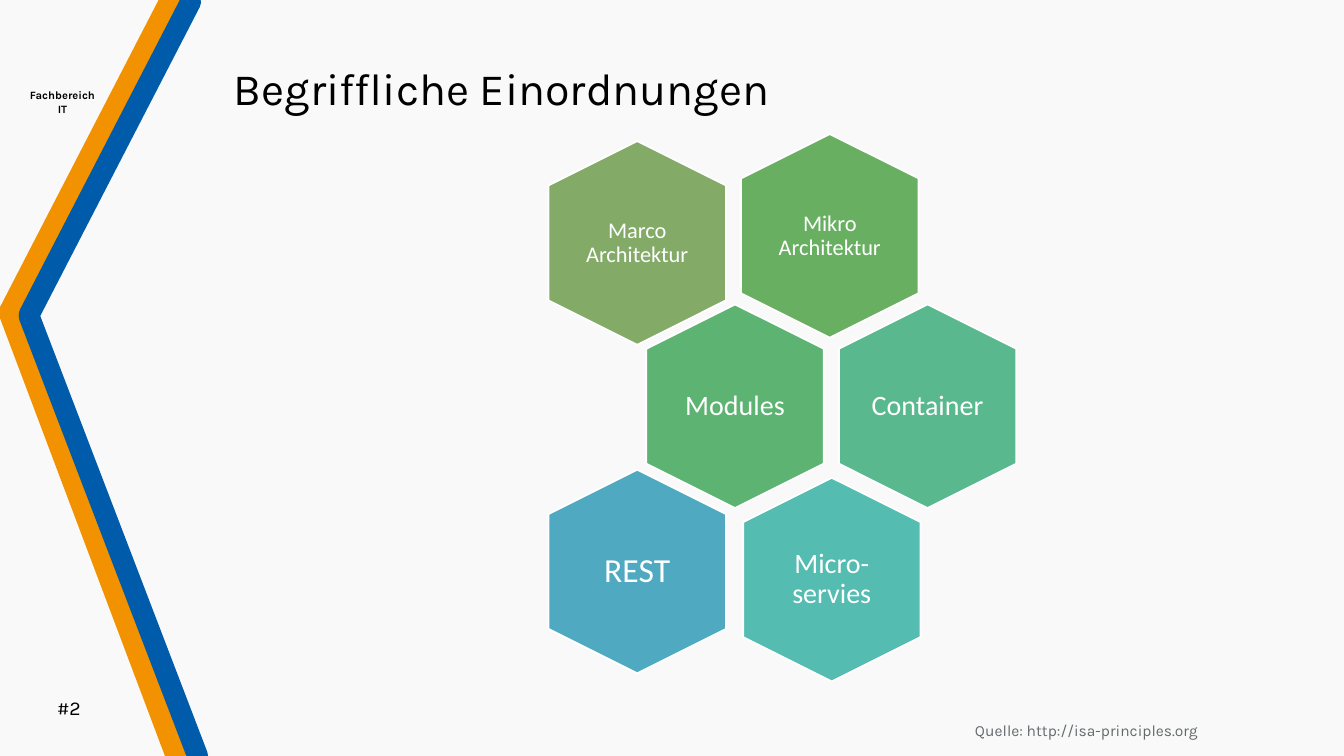
"""Build the slide on software architecture terms with a honeycomb of hexagons."""
import pptx
import pptx.dml.color
import pptx.enum.shapes
import pptx.enum.text
import pptx.oxml
import pptx.util
from pptx.util import Inches

ALIGN = pptx.enum.text.PP_ALIGN
ANCHOR = pptx.enum.text.MSO_ANCHOR

TITLE = "Begriffliche Einordnungen"
DEPARTMENT = ["Fachbereich", "IT"]
SOURCE = "Quelle: http://isa-principles.org"
PAGE = "#2"

CHEVRON = [
    ("F39200", (0.09, 3.1), (1.69, 0)),
    ("F39200", (0.09, 3.1), (1.74, 7.48)),
    ("005CAB", (0.29, 3.12), (1.89, 0.02)),
    ("005CAB", (0.29, 3.14), (1.96, 7.5)),
]

# label, font size, fill, centre x, centre y
HEXAGONS = [
    ("Marco Architektur", 16, "83AA67", 6.32, 2.41),
    ("Mikro Architektur", 16, "69AF62", 8.23, 2.34),
    ("Modules", 20, "5DB371", 7.29, 4.03),
    ("Container", 20, "59B88E", 9.2, 4.03),
    ("Micro-servies", 20, "54BCB0", 8.25, 5.75),
    ("REST", 24, "4FA9C1", 6.32, 5.67),
]
HEXAGON_SIZE = (2.02, 1.76)
LABEL_SIZE = (1.21, 1.39)


def color(value):
    return pptx.dml.color.RGBColor.from_string(value)


def centred(x, y, size):
    width, height = size
    return [Inches(v) for v in (x - width / 2, y - height / 2, width, height)]


def write(shape, lines, font, align=ALIGN.LEFT, ink="000000", spacing=1.0, **frame_format):
    frame = shape.text_frame
    settings = {
        "word_wrap": True,
        "auto_size": pptx.enum.text.MSO_AUTO_SIZE.NONE,
        "vertical_anchor": ANCHOR.TOP,
        **frame_format,
    }
    for name, value in settings.items():
        setattr(frame, name, value)
    frame.text = "\n".join(lines)
    for paragraph in frame.paragraphs:
        paragraph.alignment = align
        paragraph.line_spacing = spacing
        for name, value in font.items():
            setattr(paragraph.font, name, value)
        paragraph.font.color.rgb = color(ink)


def karla(size, bold=False):
    return {"name": "Karla", "size": pptx.util.Pt(size), "bold": bold}


def add_stripe(slide, ink, start, end):
    points = [Inches(v) for v in start + end]
    stripe = slide.shapes.add_connector(pptx.enum.shapes.MSO_CONNECTOR.STRAIGHT, *points)
    stripe.line.color.rgb = color(ink)
    stripe.line.width = pptx.util.Pt(15)
    stripe.line._get_or_add_ln().set("cap", "rnd")
    properties = stripe._element.spPr
    properties.append(pptx.oxml.parse_xml(
        '<a:effectLst xmlns:a="http://schemas.openxmlformats.org/drawingml/2006/main"/>'))


def add_hexagon(slide, label, size, fill, x, y):
    hexagon = slide.shapes.add_shape(
        pptx.enum.shapes.MSO_SHAPE.HEXAGON, *centred(x, y, HEXAGON_SIZE))
    hexagon.adjustments[0] = 0.25
    hexagon.rotation = 90
    hexagon.shadow.inherit = False
    hexagon.fill.solid()
    hexagon.fill.fore_color.rgb = color(fill)
    hexagon.line.color.rgb = color("FFFFFF")
    hexagon.line.width = pptx.util.Pt(1.25)
    box = slide.shapes.add_textbox(*centred(x, y, LABEL_SIZE))
    margins = {f"margin_{side}": 0 for side in ("left", "right", "top", "bottom")}
    write(box, [label], {"name": "Calibri", "size": pptx.util.Pt(size)}, ALIGN.CENTER,
          "FFFFFF", 0.9, vertical_anchor=ANCHOR.MIDDLE, **margins)


def add_text(slide, bounds, *args, **formats):
    box = slide.shapes.add_textbox(*[Inches(v) for v in bounds])
    write(box, *args, **formats)


def main():
    presentation = pptx.Presentation()
    presentation.slide_width = Inches(13.33)
    presentation.slide_height = Inches(7.5)
    slide = presentation.slides.add_slide(presentation.slide_layouts.get_by_name("Title Only"))
    slide.background.fill.solid()
    slide.background.fill.fore_color.rgb = color("F9F9F9")

    for stripe in CHEVRON:
        add_stripe(slide, *stripe)

    title = slide.shapes.title
    bounds = {"left": 2.22, "top": 0.55, "width": 10.96, "height": 1.49}
    for name, value in bounds.items():
        setattr(title, name, Inches(value))
    write(title, [TITLE], karla(32))

    add_text(slide, (-0.11, 0.83, 1.46, 0.37), DEPARTMENT, karla(8, True), ALIGN.CENTER)
    add_text(slide, (9.07, 7.1, 4.11, 0.34), [SOURCE], karla(11.1), ink="636A6C",
             margin_left=Inches(0.6))
    add_text(slide, (0.24, 6.86, 0.89, 0.4), [PAGE], karla(14), ALIGN.CENTER)

    for hexagon in HEXAGONS:
        add_hexagon(slide, *hexagon)

    presentation.save("out.pptx")


if __name__ == "__main__":
    main()
